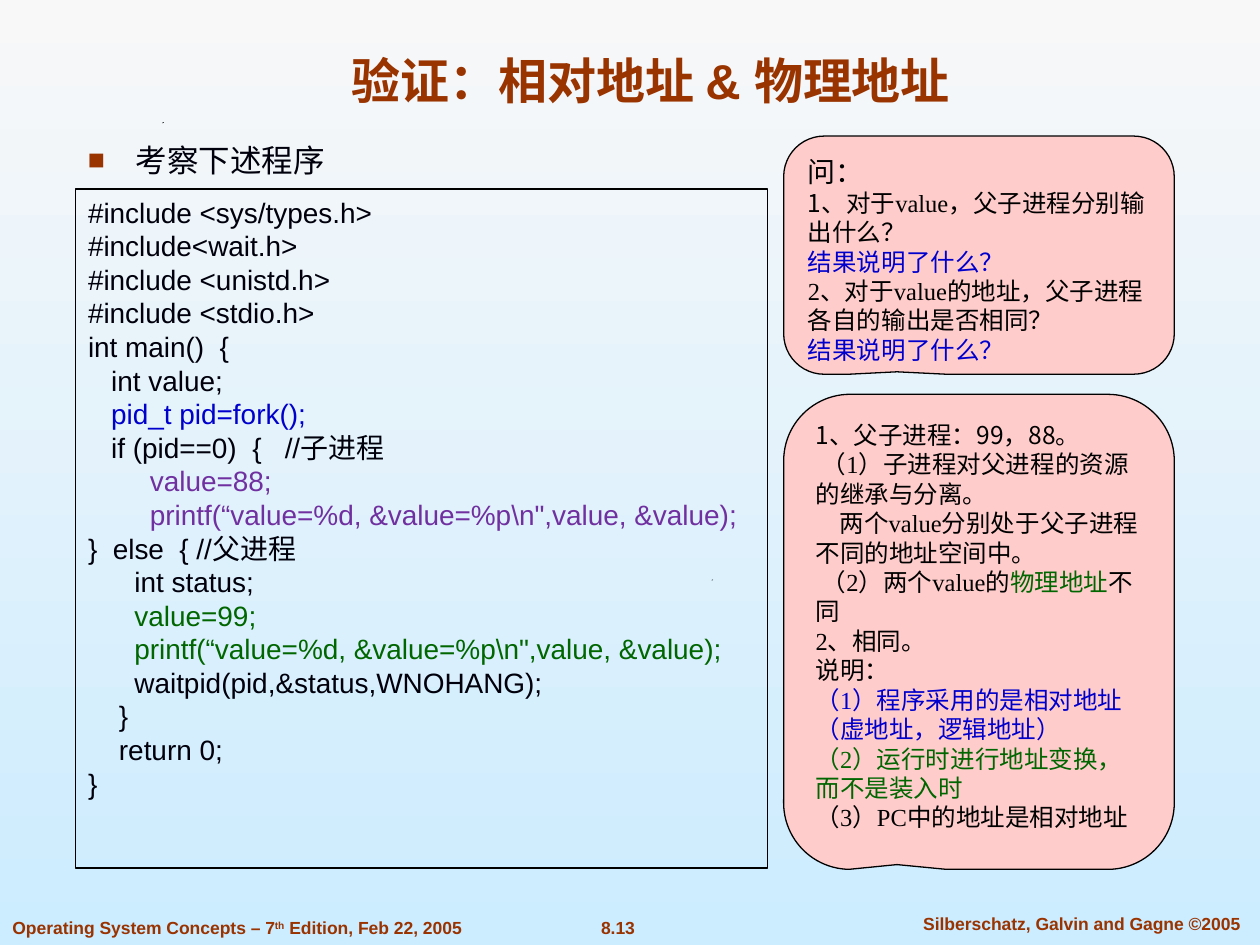
import dataclasses

import pptx
import pptx.dml.color
import pptx.enum.shapes
import pptx.enum.text
import pptx.oxml.ns
import pptx.util

WIDE, HIGH = 10, 7.5
COLS, ROWS = 100, 75


@dataclasses.dataclass(frozen=True)
class Theme:
    sans: str = "Arial"
    serif: str = "Times New Roman"
    asian: str = "Noto Sans CJK SC"
    top: str = "F8F8F8"
    base: str = "CCECFF"
    rust: str = "993300"
    ink: str = "00000C"
    black: str = "000000"
    blue: str = "0000CC"
    green: str = "006600"
    purple: str = "7030A0"
    pink: str = "FFCCCC"
    head: float = 28
    lead: float = 18
    code: float = 16
    note: float = 14
    foot: float = 10
    pitch: float = 1.2
    line: float = 0.75


LOOK = Theme()
ALIGN = pptx.enum.text.PP_ALIGN
KIND = pptx.enum.shapes.MSO_SHAPE

CODE = [
    "#include <sys/types.h>",
    "#include<wait.h>",
    "#include <unistd.h>",
    "#include <stdio.h>",
    "int main()  {",
    "   int value;",
    [("   pid_t pid=fork();", {"color": LOOK.blue})],
    "   if (pid==0)  {   //子进程",
    [("        value=88;", {"color": LOOK.purple})],
    [("        printf(“value=%d, &value=%p\\n\",value, &value);", {"color": LOOK.purple})],
    "}  else  { //父进程",
    "      int status;",
    [("      value=99;", {"color": LOOK.green})],
    [("      printf(“value=%d, &value=%p\\n\",value, &value);", {"color": LOOK.green})],
    "      waitpid(pid,&status,WNOHANG);",
    "    }",
    "    return 0;",
    "}",
]

ASK = [
    [("问：", {"size": LOOK.code, "font": LOOK.asian})],
    [("1、", {"font": LOOK.asian}), ("对于value，父子进程分别输出什么？", {})],
    [("结果说明了什么？", {"color": LOOK.blue})],
    "2、对于value的地址，父子进程各自的输出是否相同？",
    [("结果说明了什么？", {"color": LOOK.blue})],
]

REPLY = [
    [("1、父子进程：99，88。", {"font": LOOK.asian})],
    "（1）子进程对父进程的资源的继承与分离。",
    "两个value分别处于父子进程不同的地址空间中。",
    [("（2）两个value的", {}), ("物理地址", {"color": LOOK.green}), ("不同", {})],
    "2、相同。",
    "说明：",
    [("（1）程序采用的是相对地址（虚地址，逻辑地址）", {"color": LOOK.blue})],
    [("（2）运行时进行地址变换，而不是装入时", {"color": LOOK.green})],
    "（3）PC中的地址是相对地址",
]


def tint(code):
    return pptx.dml.color.RGBColor.from_string(code)


def across(cols):
    return pptx.util.Inches(cols * WIDE / COLS)


def down(rows):
    return pptx.util.Inches(rows * HIGH / ROWS)


def place(col, row, cols, rows):
    return across(col), down(row), across(cols), down(rows)


def style(run, size, color, font, bold=False, raised=False):
    run.font.size = pptx.util.Pt(size)
    run.font.color.rgb = tint(color)
    run.font.name = font
    run.font.bold = bold
    props = run.font._element
    if raised:
        props.set("baseline", "30000")
    east = props.makeelement(pptx.oxml.ns.qn("a:ea"), {"typeface": LOOK.asian})
    props.find(pptx.oxml.ns.qn("a:latin")).addnext(east)


def write(frame, lines, align=ALIGN.LEFT, wrap=True, indents=None, **form):
    """Fill a frame; a line is a string or a list of (text, changes) pairs.

    indents maps a line's number to its first-line indent in columns.
    """
    frame.word_wrap = wrap
    frame.auto_size = pptx.enum.text.MSO_AUTO_SIZE.NONE
    for spot, line in enumerate(lines):
        para = frame.paragraphs[0] if spot == 0 else frame.add_paragraph()
        para.alignment = align
        parts = [(line, {})] if isinstance(line, str) else line
        sizes = [{**form, **change}["size"] for _, change in parts]
        para.line_spacing = pptx.util.Pt(round(LOOK.pitch * max(sizes), 2))
        if indents and spot in indents:
            para._p.get_or_add_pPr().set("indent", str(across(indents[spot])))
        for text, change in parts:
            run = para.add_run()
            run.text = text
            style(run, **{**form, **change})


def label(slide, spot, lines, **form):
    box = slide.shapes.add_textbox(*place(*spot))
    write(box.text_frame, lines, **form)
    return box


def bullet(box, mark, share, hang):
    props = box.text_frame.paragraphs[0]._p.get_or_add_pPr()
    props.set("marL", str(across(hang)))
    props.set("indent", str(-across(hang)))
    color = props.makeelement(pptx.oxml.ns.qn("a:buClr"), {})
    color.append(color.makeelement(pptx.oxml.ns.qn("a:srgbClr"), {"val": LOOK.rust}))
    props.append(color)
    for tag, name, value in (("a:buSzPct", "val", str(share * 1000)),
                             ("a:buFont", "typeface", LOOK.sans),
                             ("a:buChar", "char", mark)):
        props.append(props.makeelement(pptx.oxml.ns.qn(tag), {name: value}))


def panel(slide, kind, spot, lines, fill=None, bends=(), **form):
    shape = slide.shapes.add_shape(kind, *place(*spot))
    shape.shadow.inherit = False
    for index, bend in enumerate(bends):
        shape.adjustments[index] = bend
    if fill:
        shape.fill.solid()
        shape.fill.fore_color.rgb = tint(fill)
    else:
        shape.fill.background()
    shape.line.color.rgb = tint(LOOK.black)
    shape.line.width = pptx.util.Pt(LOOK.line)
    shape.text_frame.vertical_anchor = pptx.enum.text.MSO_ANCHOR.TOP
    write(shape.text_frame, lines, **form)


def speck(slide, col, row):
    """Draw a tiny black triangle."""
    side = across(0.1)
    left, top = across(col), down(row)
    pen = slide.shapes.build_freeform(left, top + side)
    pen.add_line_segments([(left, top), (left + side, top)], close=True)
    shape = pen.convert_to_shape()
    shape.shadow.inherit = False
    shape.fill.solid()
    shape.fill.fore_color.rgb = tint(LOOK.black)
    shape.line.fill.background()


def paint(slide):
    fill = slide.background.fill
    fill.gradient()
    fill.gradient_angle = 270
    for stop, color in zip(fill.gradient_stops, (LOOK.top, LOOK.base)):
        stop.color.rgb = tint(color)


def footer(slide):
    form = {"size": LOOK.foot, "color": LOOK.rust, "font": LOOK.sans, "bold": True}
    book = [("Operating System Concepts – 7", {}), ("th", {"raised": True}),
            (" Edition, Feb 22, 2005", {})]
    label(slide, (0, 72.3, 42.1, 2.7), [book], wrap=False, **form)
    label(slide, (46.4, 72.3, 5.3, 2.7), ["8.13"], align=ALIGN.CENTER, wrap=False, **form)
    label(slide, (71, 72, 29.7, 2.7), ["Silberschatz, Galvin and Gagne ©2005"],
          align=ALIGN.CENTER, **form)


def heading(slide):
    title = slide.shapes.title
    title.left, title.top, title.width, title.height = place(7.5, 2.5, 88.3, 6.7)
    title.text_frame.vertical_anchor = pptx.enum.text.MSO_ANCHOR.BOTTOM
    write(title.text_frame, ["验证：相对地址 & 物理地址"], align=ALIGN.CENTER,
          size=LOOK.head, color=LOOK.rust, font=LOOK.sans, bold=True)


def main():
    deck = pptx.Presentation()
    deck.slide_width, deck.slide_height = across(COLS), down(ROWS)
    slide = deck.slides.add_slide(deck.slide_layouts[5])
    paint(slide)
    footer(slide)
    speck(slide, 12.9, 9.7)
    speck(slide, 56.5, 46)
    heading(slide)
    lead = label(slide, (6, 10.7, 29.7, 4.3), ["考察下述程序"],
                 size=LOOK.lead, color=LOOK.ink, font=LOOK.sans)
    bullet(lead, "■", 90, 3.8)
    panel(slide, KIND.RECTANGLE, (6, 15, 54.9, 53.9), CODE,
          size=LOOK.code, color=LOOK.ink, font=LOOK.sans)
    note = {"fill": LOOK.pink, "bends": (-0.21, 0.49, 0.17),
            "size": LOOK.note, "color": LOOK.black, "font": LOOK.serif}
    panel(slide, KIND.ROUNDED_RECTANGULAR_CALLOUT, (62.2, 10.8, 31, 18.9), ASK, **note)
    panel(slide, KIND.ROUNDED_RECTANGULAR_CALLOUT, (62.2, 31.3, 31, 37.7), REPLY,
          indents={1: 0.5, 2: 1.9, 3: 0.5}, **note)
    deck.save("out.pptx")


if __name__ == "__main__":
    main()
